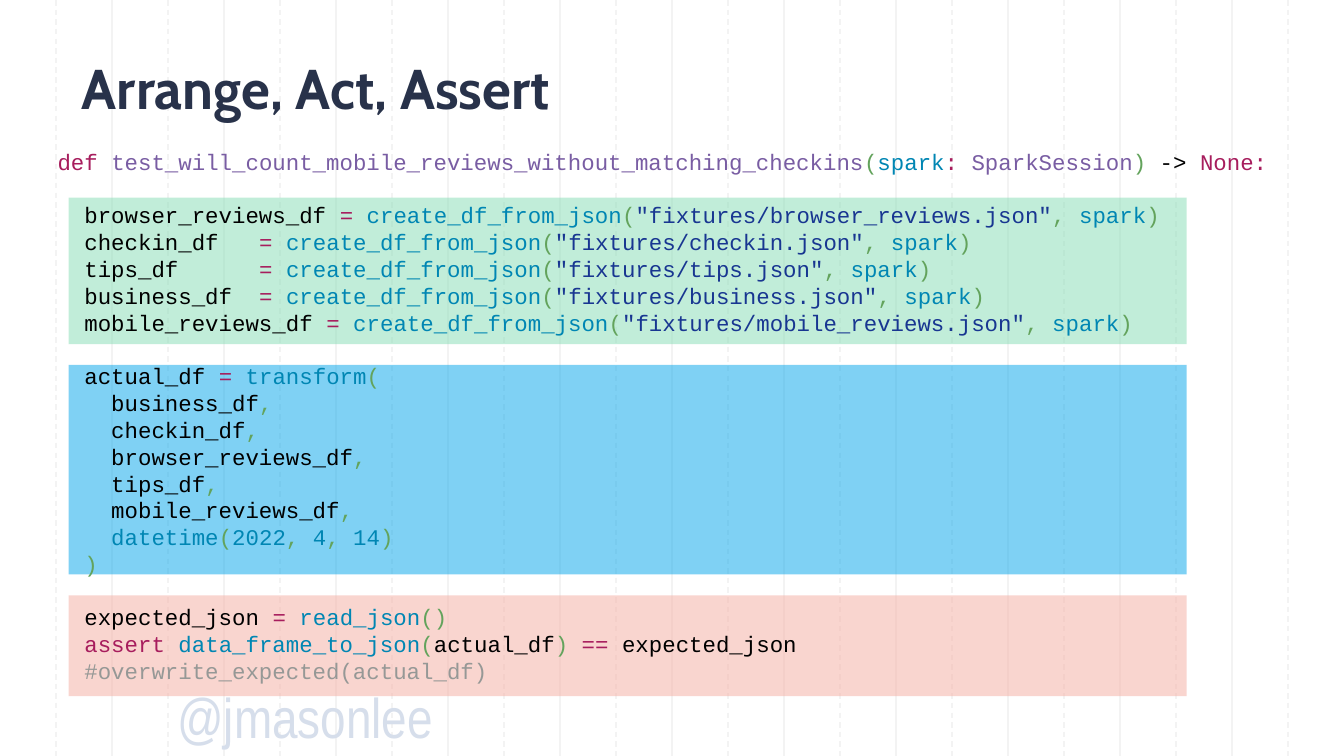
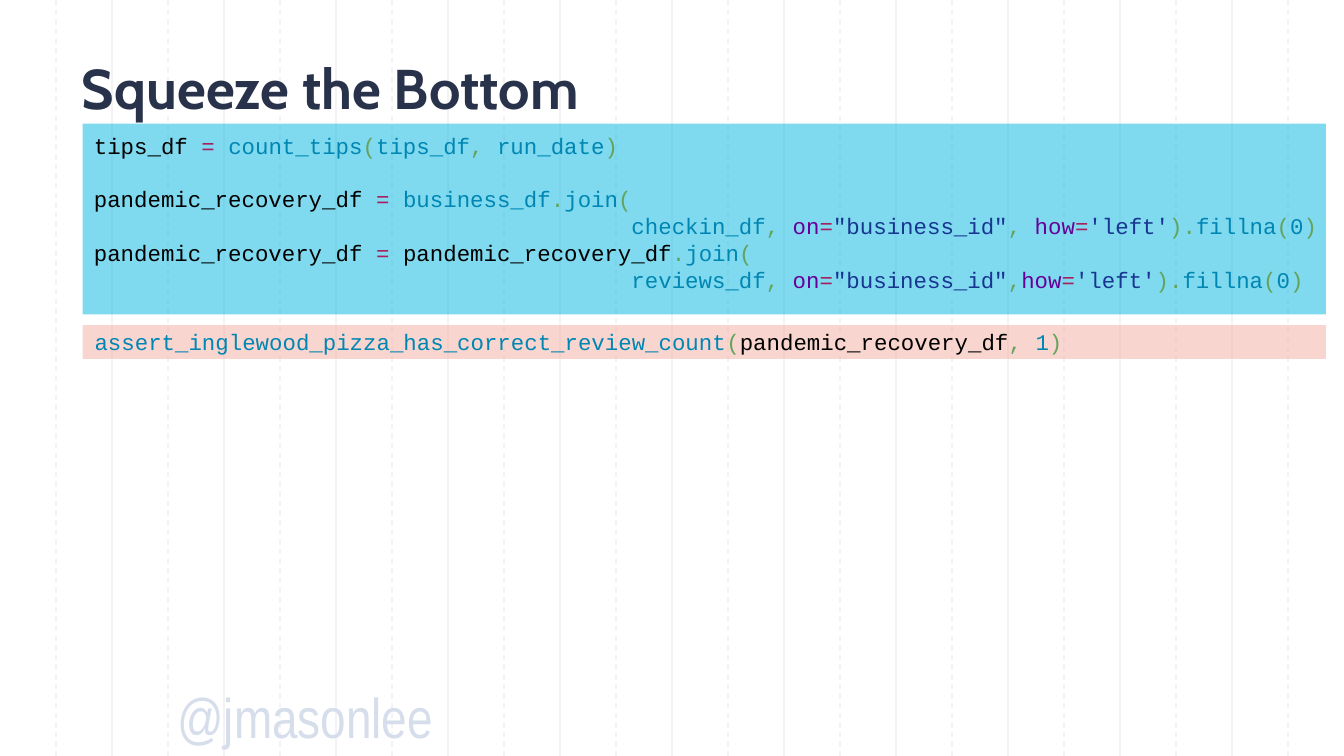
from lxml import etree
from pptx import Presentation
from pptx import util as u
from pptx.dml.color import RGBColor
from pptx.enum import dml, shapes, text
from pptx.oxml.ns import qn

WIDTH, HEIGHT = u.Inches(10), u.Inches(5.625)
UNIT = WIDTH / 100  # the slide is a grid of 100 square columns
GREEN, BLUE, CYAN, CORAL = "85DDB5", "00A4EA", "00B6E0", "F5ACA1"
NAVY, PALE, GRID = "28324A", "D6DEEB", "F3F3F3"

# A code line is written as pieces "~" + key + words; the key picks the colour.
SYNTAX = {
    "k": "A71D5D",  # keyword or operator
    "d": "795DA3",  # definition or type
    "p": "63A35C",  # punctuation
    "c": "0086B3",  # call, argument or number
    "n": "000000",  # name
    "s": "183691",  # string
    "a": "660099",  # named argument
    "m": "969896",  # comment
}
LINE, BLANK, INDENT = 14.4, 14.1, 288  # points

FIXTURES = ["browser_reviews", "checkin", "tips", "business", "mobile_reviews"]
ARRANGE = [
    f'~n  {name + "_df":<12} ~k= ~ccreate_df_from_json~p(~s"fixtures/{name}.json"~p, ~cspark~p)'
    for name in FIXTURES
]
INPUTS = ["business", "checkin", "browser_reviews", "tips", "mobile_reviews"]
ACT = [
    "~n  actual_df ~k= ~ctransform~p(",
    *[f"~n    {name}_df~p," for name in INPUTS],
    "~c    datetime~p(~c2022~p, ~c4~p, ~c14~p)",
    "~p  )",
]
ASSERT = [
    "~n  expected_json ~k= ~cread_json~p()",
    "~k  assert ~cdata_frame_to_json~p(~nactual_df~p) ~k== ~nexpected_json",
    "~m  #overwrite_expected(actual_df)",
]
SIGNATURE = [
    "~kdef ~dtest_will_count_mobile_reviews_without_matching_checkins"
    "~p(~cspark~k: ~dSparkSession~p) ~n-> ~kNone:"
]


def join_arguments(frame, comma):
    return [f'~c{frame}~p, ~aon~k=~s"business_id"~p{comma}~ahow~k=~s\'left\'~p).~cfillna~p(~c0~p)']


def color(hex_code):
    return RGBColor.from_string(hex_code)


def place(left, top, width, height):
    return [round(UNIT * value) for value in (left, top, width, height)]


def write(para, words, font="Courier New", size=12, ink="000000", bold=False):
    span = para.add_run()
    span.text = words
    span.font.name, span.font.size, span.font.bold = font, u.Pt(size), bold
    span.font.color.rgb = color(ink)


def set_insets(frame, inset):
    frame.margin_left = frame.margin_right = u.Inches(inset)
    frame.margin_top = frame.margin_bottom = u.Inches(inset)


def add_grid(page):
    """Draw the column lines once and hand them to the page's layout."""
    group = page.shapes.add_group_shape()
    step = WIDTH / 24
    for number in range(1, 24):
        x = round(step * number)
        rule = group.shapes.add_connector(shapes.MSO_CONNECTOR.STRAIGHT, x, 0, x, HEIGHT)
        rule.line.color.rgb = color(GRID)
        rule.line.width = u.Pt(0.75)
        if number % 2:
            rule.line.dash_style = dml.MSO_LINE.DASH
        etree.SubElement(rule.element.spPr, qn("a:effectLst"))
    page.slide_layout.element.cSld.spTree.append(group.element)


def add_bands(page, left, top, width, gap, bands):
    """Stack half-transparent bands, given as (height, fill), with equal gaps."""
    for height, fill in bands:
        band = page.shapes.add_shape(shapes.MSO_SHAPE.RECTANGLE, *place(left, top, width, height))
        band.shadow.inherit = False
        band.line.fill.background()
        band.fill.solid()
        band.fill.fore_color.rgb = color(fill)
        tint = band.element.spPr.find(".//" + qn("a:srgbClr"))
        etree.SubElement(tint, qn("a:alpha"), val="50000")
        top += height + gap


def add_code(page, box, blocks):
    """Write blocks of code, given as (lines, points before, points of indent)."""
    frame = page.shapes.add_textbox(*place(*box)).text_frame
    frame.word_wrap = True
    for index, (lines, before, indent) in enumerate(blocks):
        para = frame.add_paragraph() if index else frame.paragraphs[0]
        para.line_spacing, para.space_before = u.Pt(LINE), u.Pt(before)
        if indent:
            para._p.get_or_add_pPr().set("marL", str(u.Pt(indent)))
        for number, line in enumerate(lines):
            if number:
                para.add_line_break()
            for piece in line.split("~")[1:]:
                write(para, piece[1:], ink=SYNTAX[piece[0]])


def add_title(page, words):
    title = page.shapes.title
    title.left, title.top, title.width, title.height = place(6.1, 4.4, 87.5, 4.8)
    title.element.getparent().append(title.element)
    frame = title.text_frame
    set_insets(frame, 0)
    frame.word_wrap = True
    frame.auto_size = text.MSO_AUTO_SIZE.NONE
    frame.vertical_anchor = text.MSO_ANCHOR.MIDDLE
    para = frame.paragraphs[0]
    para.alignment, para.line_spacing = text.PP_ALIGN.LEFT, 0.9
    write(para, words, font="Cabin", size=30, ink=NAVY, bold=True)


def add_handle(page):
    frame = page.shapes.add_textbox(*place(12.5, 50.1, 24.3, 6.6)).text_frame
    set_insets(frame, 0.07)
    frame.word_wrap = True
    write(frame.paragraphs[0], "@jmasonlee", font="Arial Narrow", size=30, ink=PALE)


def build_arrange_page(page):
    add_bands(page, 5.1, 14.7, 83.2, 1.55, [(10.9, GREEN), (15.6, BLUE), (7.5, CORAL)])
    add_code(page, (3.3, 10.5, 96.7, 43.9), [
        (SIGNATURE, 0, 0), (ARRANGE, LINE, 0), (ACT, BLANK, 0), (ASSERT, BLANK, 0),
    ])
    add_title(page, "Arrange, Act, Assert")
    add_handle(page)


def build_squeeze_page(page):
    add_bands(page, 6.15, 9.2, 92.5, 0.8, [(14.2, CYAN), (2.5, CORAL)])
    add_title(page, "Squeeze the Bottom")
    add_code(page, (6.05, 23.95, 80.5, 3), [(
        ["~cassert_inglewood_pizza_has_correct_review_count~p(~npandemic_recovery_df~p, ~c1~p)"], 0, 0,
    )])
    add_code(page, (6, 9.35, 95.8, 15.1), [
        (["~ntips_df ~k= ~ccount_tips~p(~ctips_df~p, ~crun_date~p)"], 0, 0),
        (["~npandemic_recovery_df ~k= ~cbusiness_df~p.~cjoin~p("], BLANK, 0),
        (join_arguments("checkin_df", ", "), 0, INDENT),
        (["~npandemic_recovery_df ~k= ~npandemic_recovery_df~p.~cjoin~p("], 0, 0),
        (join_arguments("reviews_df", ","), 0, INDENT),
    ])
    add_handle(page)


def main():
    deck = Presentation()
    deck.slide_width, deck.slide_height = WIDTH, HEIGHT
    title_only = deck.slide_layouts[5]
    pages = [deck.slides.add_slide(title_only) for _ in range(2)]
    add_grid(pages[0])
    build_arrange_page(pages[0])
    build_squeeze_page(pages[1])
    deck.save("out.pptx")


if __name__ == "__main__":
    main()
